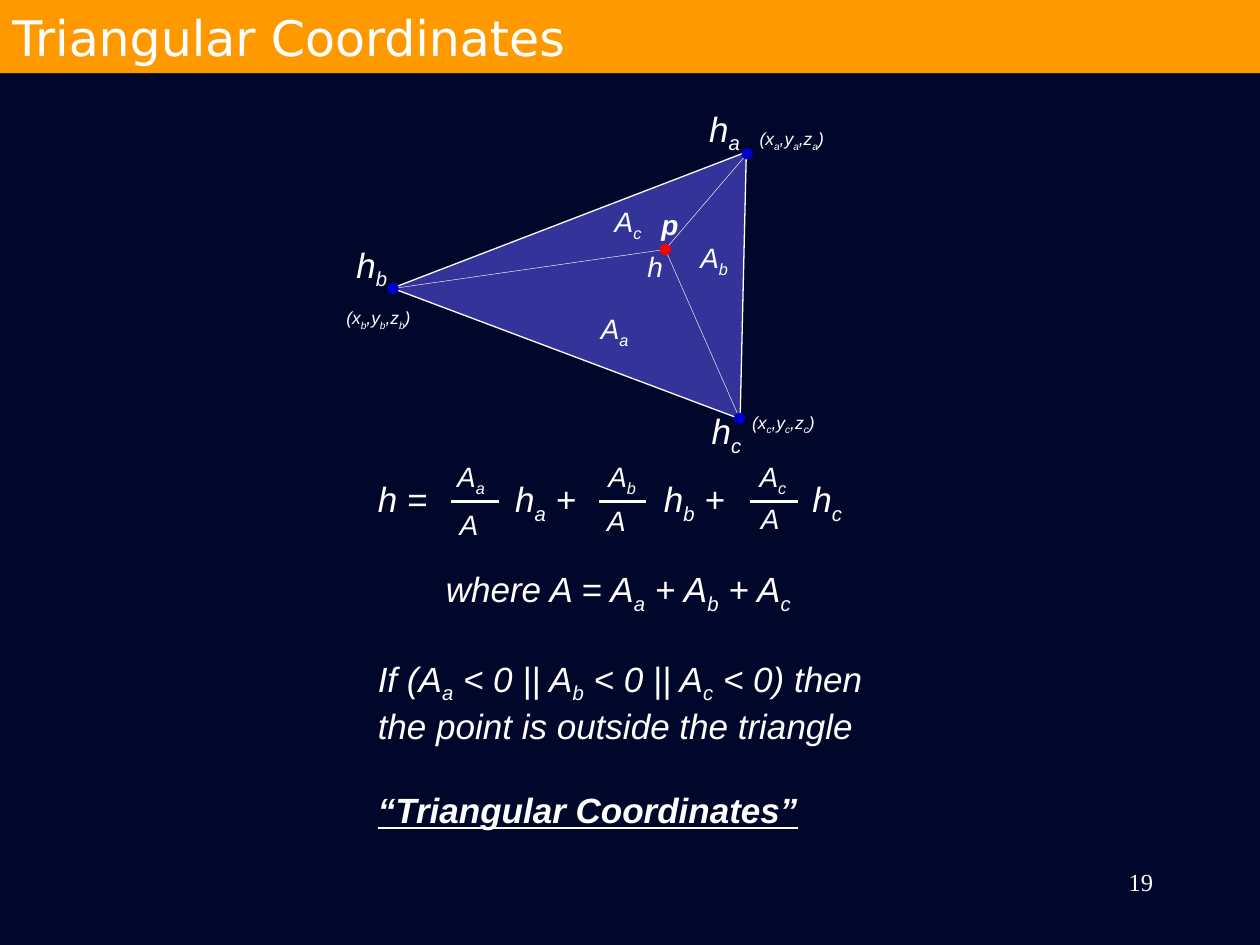
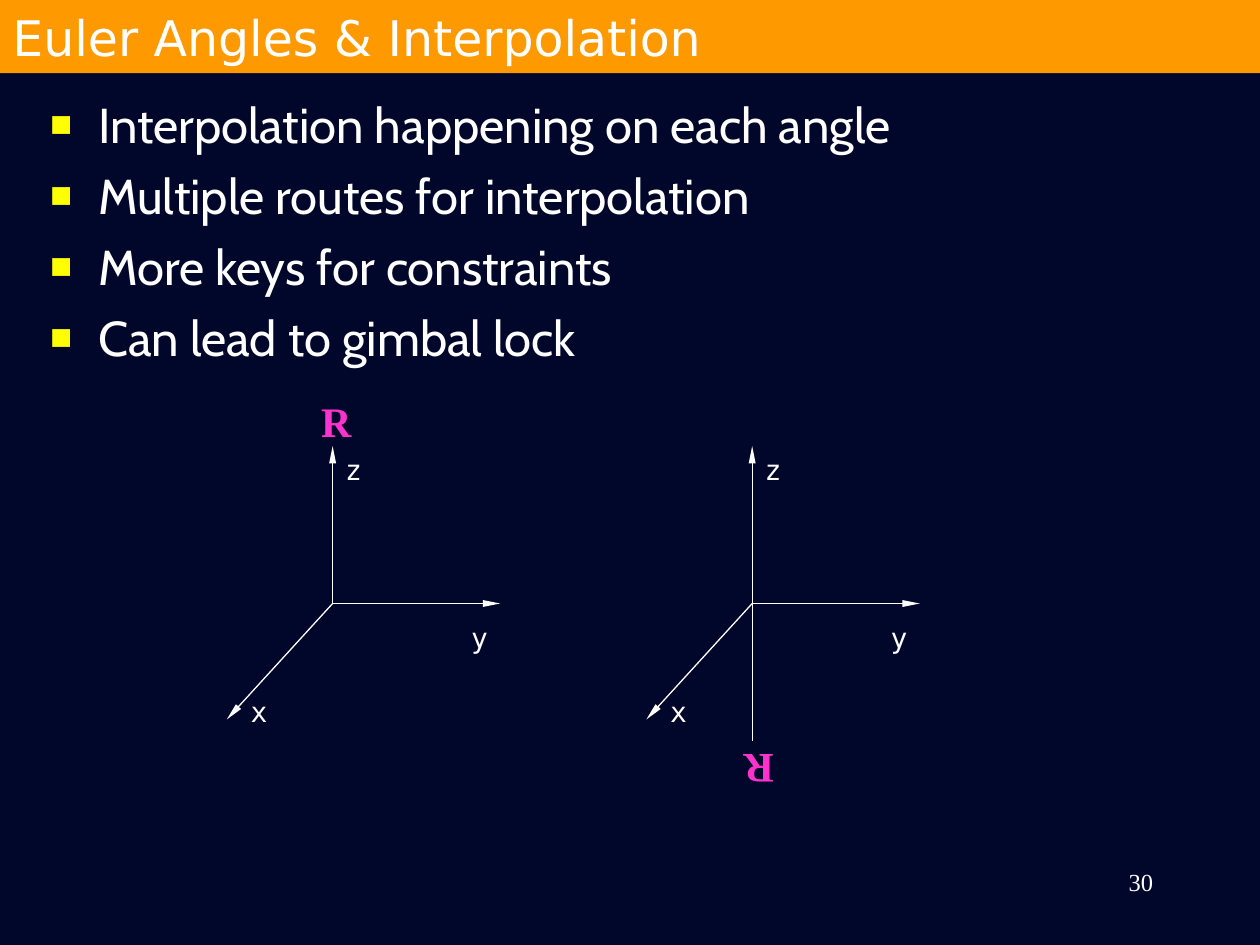
from lxml import etree
from pptx import Presentation
from pptx.dml.color import RGBColor
from pptx.enum import shapes, text
from pptx.oxml import ns
from pptx.util import Inches, Pt

COLORS = {
    "background": "00072A", "band": "FF9900", "white": "FFFFFF", "triangle": "333399",
    "vertex": "0000CC", "point": "FF0000", "bullet": "FFFF00", "letter": "FF33CC",
}
SANS, SERIF, BODY = "Arial", "Times New Roman", "Cabin"
TITLE_FONT, AXIS_FONT = "DejaVu Sans", "DejaVu Sans Mono"

# In all texts, "_" makes the next letter a subscript.
VERTICES = [(5.93, 1.22), (5.87, 3.32), (3.12, 2.29)]
POINT = (5.28, 1.98)
AREA_SIZE, HEIGHT_SIZE, COORDINATE_SIZE = 16, 20, 10
TRIANGLE_LABELS = [  # wording, size, bold, (left, top, width, height)
    ("h", AREA_SIZE, False, (5.04, 1.93, 0.4, 0.37)),
    ("p", AREA_SIZE, True, (5.15, 1.6, 0.4, 0.37)),
    ("h_a", HEIGHT_SIZE, False, (5.53, 0.8, 0.55, 0.48)),
    ("h_b", HEIGHT_SIZE, False, (2.73, 1.88, 0.55, 0.48)),
    ("h_c", HEIGHT_SIZE, False, (5.55, 3.2, 0.55, 0.48)),
    ("A_a", AREA_SIZE, False, (4.67, 2.42, 0.5, 0.41)),
    ("A_b", AREA_SIZE, False, (5.46, 1.86, 0.5, 0.41)),
    ("A_c", AREA_SIZE, False, (4.78, 1.57, 0.5, 0.41)),
    ("(x_a,y_a,z_a)", COORDINATE_SIZE, False, (5.93, 0.97, 0.85, 0.29)),
    ("(x_b,y_b,z_b)", COORDINATE_SIZE, False, (2.65, 2.39, 0.85, 0.29)),
    ("(x_c,y_c,z_c)", COORDINATE_SIZE, False, (5.87, 3.22, 0.85, 0.29)),
]
FRACTIONS = [  # numerator and its left, bar left, denominator left and top
    ("A_a", 3.53, 3.58, 3.55, 3.98),
    ("A_b", 4.73, 4.75, 4.72, 3.95),
    ("A_c", 5.93, 5.95, 5.94, 3.93),
]
BAR_TOP, BAR_WIDTH = 3.98, 0.38
FORMULA_TABS = [1.09, 2.27, 3.45]
FORMULA = [  # wording, indent in inches, space before in points
    ("h =\th_a +\th_b +\th_c", 0, 0),
    ("where A = A_a + A_b + A_c", 0.54, 24),
    ("If (A_a < 0 || A_b < 0 || A_c < 0) then", 0, 24),
    ("the point is outside the triangle", 0, 0),
    ("“Triangular Coordinates”", 0, 24),
]

BULLETS = [
    "Interpolation happening on each angle",
    "Multiple routes for interpolation",
    "More keys for constraints",
    "Can lead to gimbal lock",
]
AXES = [  # name, arrow tip and label corner, both counted from the origin
    ("z", (0, -1.25), (0, -1.25)),
    ("x", (-0.84, 0.92), (-0.75, 0.67)),
    ("y", (1.33, 0), (1, 0.09)),
]
FRAMES = [  # origin, place of the letter from the origin, its rotation
    ((2.64, 4.79), (-0.19, -1.7), 0),
    ((5.97, 4.79), (-0.17, 1.08), 180),
]
FLIPPED_LINE_LENGTH = 1.09


def color(name):
    return RGBColor.from_string(COLORS[name])


def inches(values):
    return [Inches(value) for value in values]


def add_runs(paragraph, wording, font, size, fill="white", **styles):
    """Add the wording as runs, lowering each letter that follows "_"."""
    first, *others = wording.split("_")
    pieces = [(first, False)]
    for other in others:
        pieces += [(other[0], True), (other[1:], False)]
    for piece, lowered in pieces:
        if not piece:
            continue
        run = paragraph.add_run()
        run.text = piece
        run.font.name, run.font.size = font, Pt(size)
        run.font.color.rgb = color(fill)
        for style, value in styles.items():
            setattr(run.font, style, value)
        if lowered:
            run._r.get_or_add_rPr().set("baseline", "-25000")


def add_text_box(slide, box):
    shape = slide.shapes.add_textbox(*inches(box))
    shape.text_frame.word_wrap = True
    return shape


def add_label(slide, wording, box, font, size, **styles):
    shape = add_text_box(slide, box)
    add_runs(shape.text_frame.paragraphs[0], wording, font, size, **styles)
    return shape


def add_filled_shape(slide, kind, box, fill):
    shape = slide.shapes.add_shape(kind, *inches(box))
    shape.shadow.inherit = False
    shape.fill.solid()
    shape.fill.fore_color.rgb = color(fill)
    shape.line.fill.background()
    return shape


def add_line(slide, start, end, width, arrow=False):
    line = slide.shapes.add_connector(
        shapes.MSO_CONNECTOR.STRAIGHT, *inches(start + end))
    line.line.color.rgb = color("white")
    line.line.width = Pt(width)
    properties = line._element.spPr
    if arrow:
        outline = properties.find(ns.qn("a:ln"))
        etree.SubElement(outline, ns.qn("a:tailEnd"), type="triangle", w="sm", len="lg")
    etree.SubElement(properties, ns.qn("a:effectLst"))


def add_dot(slide, center, fill):
    size = 0.09
    box = (center[0] - size / 2, center[1] - size / 2, size, size)
    add_filled_shape(slide, shapes.MSO_SHAPE.OVAL, box, fill)


def add_base_slide(presentation, title, number):
    """Add a slide with the background, title band and page number."""
    slide = presentation.slides.add_slide(presentation.slide_layouts[6])
    slide.background.fill.solid()
    slide.background.fill.fore_color.rgb = color("background")

    band = add_filled_shape(slide, shapes.MSO_SHAPE.RECTANGLE, (0, 0, 10, 0.58), "band")
    band.text_frame.vertical_anchor = text.MSO_ANCHOR.MIDDLE
    paragraph = band.text_frame.paragraphs[0]
    paragraph.alignment = text.PP_ALIGN.LEFT
    add_runs(paragraph, title, TITLE_FONT, 28)

    footer = add_text_box(slide, (7.17, 6.83, 2.08, 0.5))
    paragraph = footer.text_frame.paragraphs[0]
    paragraph.alignment = text.PP_ALIGN.RIGHT
    add_runs(paragraph, str(number), SERIF, 14)
    return slide


def add_paragraphs(frame, count):
    return [frame.paragraphs[0]] + [frame.add_paragraph() for _ in range(count - 1)]


def add_formula(slide):
    frame = add_text_box(slide, (2.9, 3.74, 4.3, 2.91)).text_frame
    paragraphs = add_paragraphs(frame, len(FORMULA))
    for paragraph, (wording, indent, space) in zip(paragraphs, FORMULA):
        properties = paragraph._p.get_or_add_pPr()
        properties.set("marL", str(Inches(indent)))
        if "\t" in wording:
            tabs = etree.SubElement(properties, ns.qn("a:tabLst"))
            for stop in FORMULA_TABS:
                etree.SubElement(tabs, ns.qn("a:tab"), pos=str(Inches(stop)), algn="l")
        if space:
            paragraph.space_before = Pt(space)
        is_name = wording.startswith("“")
        add_runs(paragraph, wording, SANS, HEIGHT_SIZE,
                 italic=True, bold=is_name, underline=is_name)

    for numerator, left, bar_left, bottom_left, bottom_top in FRACTIONS:
        add_line(slide, (bar_left, BAR_TOP), (bar_left + BAR_WIDTH, BAR_TOP), 1.5)
        add_label(slide, numerator, (left, 3.6, 0.5, 0.41), SANS, AREA_SIZE, italic=True)
        add_label(slide, "A", (bottom_left, bottom_top, 0.4, 0.37),
                  SANS, AREA_SIZE, italic=True)


def build_triangle_slide(presentation):
    slide = add_base_slide(presentation, "Triangular Coordinates", 19)
    triangle = add_filled_shape(
        slide, shapes.MSO_SHAPE.ISOSCELES_TRIANGLE, (3.37, 0.87, 2.95, 2), "triangle")
    triangle.adjustments[0] = 0.763
    triangle.rotation = 20.6
    triangle.line.color.rgb = color("white")
    triangle.line.width = Pt(0.75)
    for vertex in VERTICES:
        add_line(slide, vertex, POINT, 0.25)
    for vertex in VERTICES:
        add_dot(slide, vertex, "vertex")
    add_dot(slide, POINT, "point")
    for wording, size, bold, box in TRIANGLE_LABELS:
        add_label(slide, wording, box, SANS, size, italic=True, bold=bold)
    add_formula(slide)


def add_bullets(slide):
    frame = add_text_box(slide, (0.3, 0.7, 8.5, 2.3)).text_frame
    paragraphs = add_paragraphs(frame, len(BULLETS))
    for index, (paragraph, wording) in enumerate(zip(paragraphs, BULLETS)):
        properties = paragraph._p.get_or_add_pPr()
        properties.set("marL", str(Inches(0.38)))
        properties.set("indent", str(Inches(-0.38)))
        bullet_color = etree.SubElement(properties, ns.qn("a:buClr"))
        etree.SubElement(bullet_color, ns.qn("a:srgbClr"), val=COLORS["bullet"])
        etree.SubElement(properties, ns.qn("a:buSzPct"), val="75000")
        etree.SubElement(properties, ns.qn("a:buFont"), typeface=SANS)
        etree.SubElement(properties, ns.qn("a:buChar"), char="■")
        if index:
            paragraph.space_before = Pt(7)
        add_runs(paragraph, wording, BODY, 28)


def build_euler_slide(presentation):
    slide = add_base_slide(presentation, "Euler Angles & Interpolation", 30)
    add_bullets(slide)
    for (x, y), (letter_x, letter_y), rotation in FRAMES:
        for name, (tip_x, tip_y), (label_x, label_y) in AXES:
            add_line(slide, (x, y), (x + tip_x, y + tip_y), 0.75, arrow=True)
            add_label(slide, name, (x + label_x, y + label_y, 0.33, 0.37), AXIS_FONT, 16)
        letter = add_label(slide, "R", (x + letter_x, y + letter_y, 0.44, 0.5),
                           SERIF, 24, fill="letter", bold=True)
        letter.rotation = rotation
        if rotation:
            add_line(slide, (x, y), (x, y + FLIPPED_LINE_LENGTH), 0.75)


def main():
    presentation = Presentation()
    presentation.slide_width, presentation.slide_height = Inches(10), Inches(7.5)
    build_triangle_slide(presentation)
    build_euler_slide(presentation)
    presentation.save("out.pptx")


if __name__ == "__main__":
    main()
